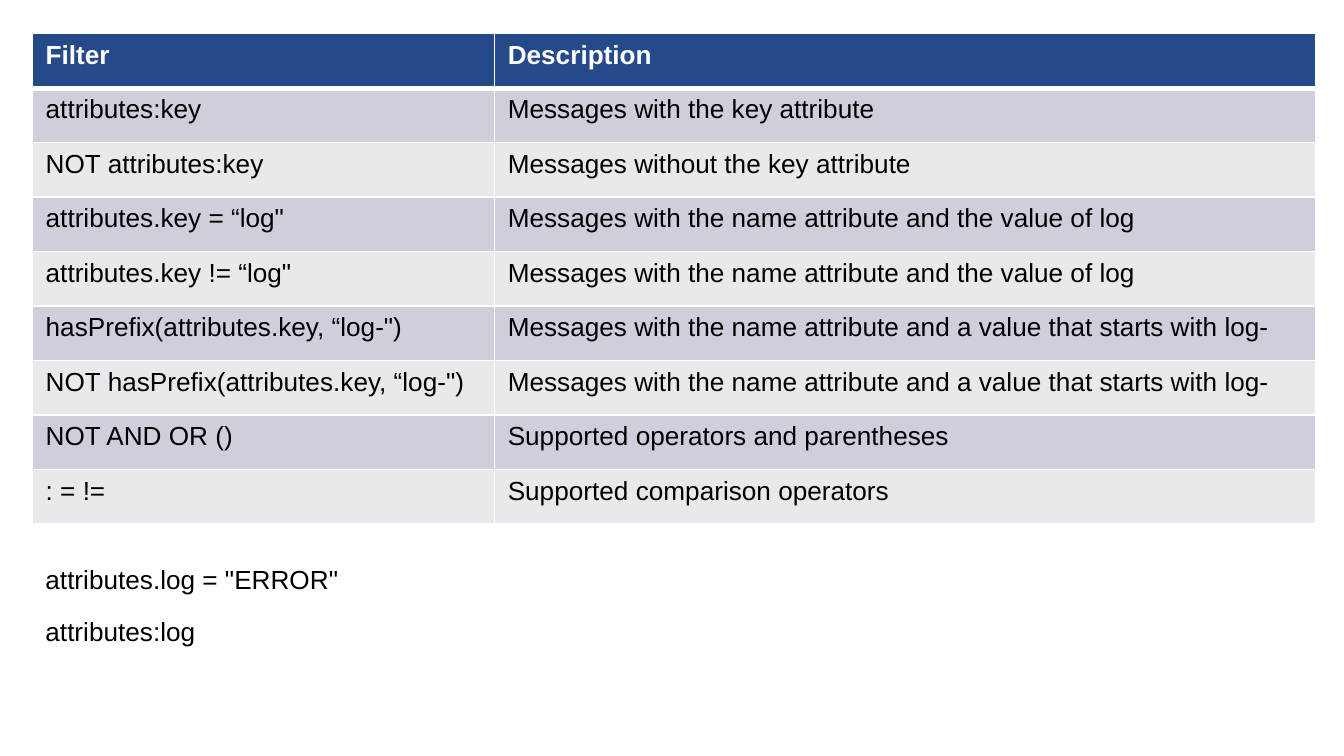
from lxml.etree import SubElement
from pptx import Presentation
from pptx.dml.color import RGBColor as Rgb
from pptx.oxml.ns import qn
from pptx.util import Inches, Pt

COLORS = {"header": "254A89", "odd": "CDD0DA", "even": "E8E9ED",
          "white": "FFFFFF", "black": "000000"}
FONT, SIZE = "Arial", 14
PAGE_WIDTH = 10
PAGE_HEIGHT = PAGE_WIDTH * 9 / 16
LEFT = 0.24
COLUMN_SHARES = (0.36, 0.64)

FILTERS = [
    ("Filter", "Description"),
    ("attributes:key", "Messages with the key attribute"),
    ("NOT attributes:key", "Messages without the key attribute"),
    ("attributes.key = “log\"", "Messages with the name attribute and the value of log"),
    ("attributes.key != “log\"", "Messages with the name attribute and the value of log"),
    ("hasPrefix(attributes.key, “log-\")",
     "Messages with the name attribute and a value that starts with log-"),
    ("NOT hasPrefix(attributes.key, “log-\")",
     "Messages with the name attribute and a value that starts with log-"),
    ("NOT AND OR ()", "Supported operators and parentheses"),
    (": = !=", "Supported comparison operators"),
]
EXAMPLES = ["attributes.log = \"ERROR\"", "attributes:log"]


def write(frame, text, color, bold=False):
    frame.text = text
    for span in frame.paragraphs[0].runs:
        span.font.name = FONT
        span.font.size = Pt(SIZE)
        span.font.bold = bold
        span.font.color.rgb = Rgb.from_string(COLORS[color])


def add_borders(cell, widths):
    """Draw white borders; widths maps each side to points."""
    properties = cell._tc.get_or_add_tcPr()
    for side in "LRTB":
        line = SubElement(properties, qn(f"a:ln{side}"), w=str(Pt(widths[side])))
        fill = SubElement(line, qn("a:solidFill"))
        SubElement(fill, qn("a:srgbClr"), val=COLORS["white"])


def add_filter_table(page, left, top, width, height):
    table = page.shapes.add_table(
        len(FILTERS), len(COLUMN_SHARES),
        Inches(left), Inches(top), Inches(width), Inches(height)).table
    for column, share in zip(table.columns, COLUMN_SHARES):
        column.width = Inches(width * share)

    for row, texts in enumerate(FILTERS):
        header = row == 0
        fill = "header" if header else "odd" if row % 2 else "even"
        # The rule under the header is thicker than the others
        widths = {"L": 1, "R": 1, "T": 3 if row == 1 else 1, "B": 3 if header else 1}
        for column, text in enumerate(texts):
            cell = table.cell(row, column)
            add_borders(cell, widths)
            cell.fill.solid()
            cell.fill.fore_color.rgb = Rgb.from_string(COLORS[fill])
            write(cell.text_frame, text, "white" if header else "black", header)


def add_examples(page, left, top, width, height, pitch):
    for index, text in enumerate(EXAMPLES):
        box = page.shapes.add_textbox(Inches(left), Inches(top + index * pitch),
                                      Inches(width), Inches(height))
        box.text_frame.word_wrap = True
        write(box.text_frame, text, "black")


def main():
    deck = Presentation()
    deck.slide_width, deck.slide_height = Inches(PAGE_WIDTH), Inches(PAGE_HEIGHT)
    page = deck.slides.add_slide(deck.slide_layouts[6])

    # Filter syntax
    add_filter_table(page, LEFT, 0.25, 9.55, 3.65)
    # Example filters below the table
    add_examples(page, LEFT, 4.14, 2.66, 0.34, 0.39)

    deck.save("out.pptx")


if __name__ == "__main__":
    main()
